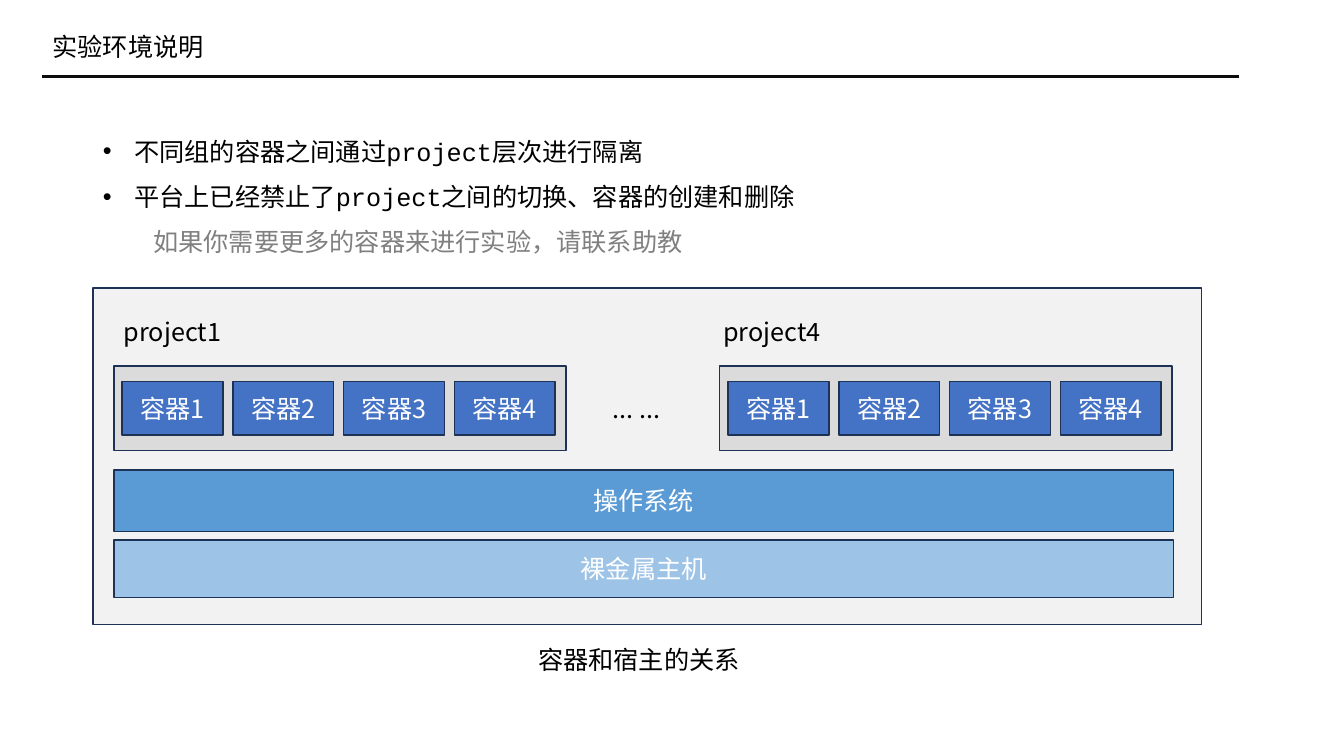
import pptx
import pptx.util
import pptx.dml.color
import pptx.enum.shapes
import pptx.enum.text
import pptx.oxml.ns
from lxml import etree

Cm, Pt = pptx.util.Cm, pptx.util.Pt
qn = pptx.oxml.ns.qn
ALIGN = pptx.enum.text.PP_ALIGN
ANCHOR = pptx.enum.text.MSO_ANCHOR

COLORS = {
    "text": "000000", "hint": "808080", "white": "FFFFFF", "rule": "0D0D0D",
    "edge": "1E3256", "frame": "F2F2F2", "group": "DBDBDB",
    "box": "4472C4", "system": "5B9BD5", "host": "9DC3E6",
}


def rgb(name):
    return pptx.dml.color.RGBColor.from_string(COLORS[name])


class Page:
    sans = "Noto Sans CJK SC"
    mono = "Courier New"
    size = Pt(18)

    def __init__(self, deck):
        self.slide = deck.slides.add_slide(deck.slide_layouts[1])
        self.shapes = self.slide.shapes

    def style(self, par, color="text", align=ALIGN.LEFT):
        """Set font, colour and alignment; return the font's XML element."""
        par.alignment = align
        par.font.size = self.size
        par.font.name = self.sans
        par.font.color.rgb = rgb(color)
        props = par._p.pPr.find(qn("a:defRPr"))
        etree.SubElement(props, qn("a:ea")).set("typeface", self.sans)
        return props

    def place(self, shape, left, top, width, height):
        shape.left, shape.top = Cm(left), Cm(top)
        shape.width, shape.height = Cm(width), Cm(height)
        frame = shape.text_frame
        frame.word_wrap = True
        frame.auto_size = pptx.enum.text.MSO_AUTO_SIZE.SHAPE_TO_FIT_TEXT
        frame.vertical_anchor = ANCHOR.TOP
        return frame

    def title(self, text, *area):
        frame = self.place(self.shapes.title, *area)
        frame.text = text
        self.style(frame.paragraphs[0])

    def list(self, items, *area):
        """Each item: text parts (every second one is code), and a hint flag."""
        frame = self.place(self.slide.placeholders[1], *area)
        for num, (parts, hint) in enumerate(items):
            par = frame.add_paragraph() if num else frame.paragraphs[0]
            par.level = int(hint)
            par.line_spacing = 1.5
            par.space_before = Pt(0)
            props = self.style(par, "hint" if hint else "text")
            left, indent = (1.27, 0) if hint else (0.79, -0.79)
            par._p.pPr.set("marL", str(Cm(left)))
            par._p.pPr.set("indent", str(Cm(indent)))
            if hint:
                props.addprevious(etree.Element(qn("a:buNone")))
            for spot, part in enumerate(parts):
                run = par.add_run()
                run.text = part
                if spot % 2:
                    run.font.name = self.mono

    def label(self, text, *area):
        frame = self.place(self.shapes.add_textbox(0, 0, 0, 0), *area)
        frame.text = text
        self.style(frame.paragraphs[0])

    def rect(self, fill, left, top, width, height, text=""):
        shape = self.shapes.add_shape(
            pptx.enum.shapes.MSO_SHAPE.RECTANGLE,
            Cm(left), Cm(top), Cm(width), Cm(height))
        shape.shadow.inherit = False
        shape.fill.solid()
        shape.fill.fore_color.rgb = rgb(fill)
        shape.line.color.rgb = rgb("edge")
        shape.line.width = Pt(1)
        if text:
            frame = shape.text_frame
            frame.text = text
            frame.vertical_anchor = ANCHOR.MIDDLE
            self.style(frame.paragraphs[0], "white", ALIGN.CENTER)

    def rule(self, left, right, top):
        line = self.shapes.add_connector(
            pptx.enum.shapes.MSO_CONNECTOR.STRAIGHT,
            Cm(left), Cm(top), Cm(right), Cm(top))
        line.line.color.rgb = rgb("rule")
        line.line.width = Pt(2.25)
        etree.SubElement(line._element.spPr, qn("a:effectLst"))

    def project(self, name, left, shift):
        """A named group of four containers; shift moves the name sideways."""
        self.label(name, left + shift, 7.84, 4.42, 1.02)
        self.rect("group", left, 9.22, 11.4, 2.13)
        for num in range(4):
            self.rect("box", left + 0.21 + 2.79 * num, 9.61, 2.54, 1.35,
                      f"容器{num + 1}")


def main():
    deck = pptx.Presentation()
    deck.slide_width, deck.slide_height = Cm(33.87), Cm(19.05)
    page = Page(deck)

    # Heading
    page.title("实验环境说明", 1.07, 0.66, 9.65, 1.02)
    page.rule(1.07, 31.22, 1.93)

    # Notes on isolation
    page.list([
        (["不同组的容器之间通过", "project", "层次进行隔离"], False),
        (["平台上已经禁止了", "project", "之间的切换、容器的创建和删除"], False),
        (["如果你需要更多的容器来进行实验，请联系助教"], True),
    ], 2.34, 2.92, 19.3, 3.58)

    # Host diagram
    page.rect("frame", 2.34, 7.26, 27.94, 8.48)
    page.project("project1", 2.87, 0)
    page.project("project4", 18.14, -0.16)
    page.label("... ...", 15.19, 9.78, 4.42, 1.02)
    page.rect("system", 2.87, 11.84, 26.7, 1.55, "操作系统")
    page.rect("host", 2.87, 13.61, 26.7, 1.45, "裸金属主机")
    page.label("容器和宿主的关系", 13.31, 16.1, 11.35, 1.02)

    deck.save("out.pptx")


if __name__ == "__main__":
    main()
